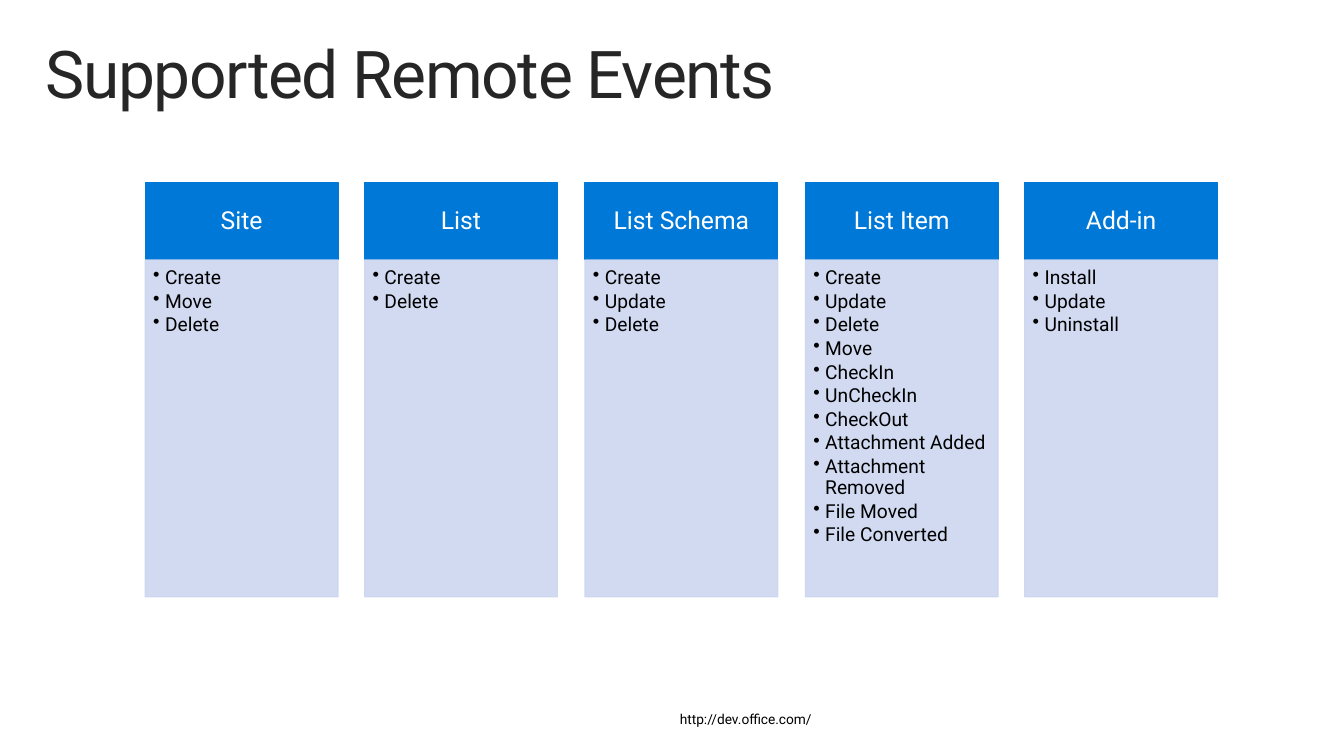
"""Build the slide "Supported Remote Events" with five columns of events."""
from lxml import etree
from pptx import Presentation
from pptx.dml.color import RGBColor
from pptx.enum.shapes import MSO_SHAPE
from pptx.enum.text import MSO_ANCHOR, MSO_AUTO_SIZE, PP_ALIGN
from pptx.oxml.ns import qn
from pptx.util import Pt

PX = 9144
RECTANGLE = MSO_SHAPE.RECTANGLE
TOP, MIDDLE = MSO_ANCHOR.TOP, MSO_ANCHOR.MIDDLE
LEFT, CENTER = PP_ALIGN.LEFT, PP_ALIGN.CENTER
BLUE = RGBColor(0x00, 0x78, 0xD7)
PALE_BLUE = RGBColor(0xCC, 0xD6, 0xF0)
WHITE = RGBColor(0xFF, 0xFF, 0xFF)
BLACK = RGBColor(0x00, 0x00, 0x00)
CHARCOAL = RGBColor(0x26, 0x26, 0x26)

EVENTS = {
    "Site": ["Create", "Move", "Delete"],
    "List": ["Create", "Delete"],
    "List Schema": ["Create", "Update", "Delete"],
    "List Item": [
        "Create", "Update", "Delete", "Move", "CheckIn", "UnCheckIn", "CheckOut",
        "Attachment Added", "Attachment Removed", "File Moved", "File Converted",
    ],
    "Add-in": ["Install", "Update", "Uninstall"],
}
FIRST_LEFT, LAST_LEFT, COLUMN_WIDTH = 147, 1037, 195
HEADER_TOP, HEADER_HEIGHT, BODY_HEIGHT = 185, 78, 341
BULLET_INDENT = 12


def write(box, lines, size, color, insets=(16, 10, 16, 10), align=LEFT,
          anchor=TOP, wrap=True, bullet=False, space_after=0, tracking=0):
    """Fill a shape with one formatted paragraph per line."""
    frame = box.text_frame
    frame.word_wrap = wrap
    frame.auto_size = MSO_AUTO_SIZE.NONE
    frame.vertical_anchor = anchor
    frame.margin_left, frame.margin_top, frame.margin_right, frame.margin_bottom = (
        inset * PX for inset in insets)
    frame.text = "\n".join(lines)
    for para in frame.paragraphs:
        if bullet:
            properties = para._p.get_or_add_pPr()
            properties.set("marL", str(BULLET_INDENT * PX))
            properties.set("indent", str(-BULLET_INDENT * PX))
            etree.SubElement(properties, qn("a:buChar"), char="•")
        para.alignment = align
        para.line_spacing = 0.9
        para.space_after = Pt(space_after)
        for span in para.runs:
            span.font.name = "Roboto"
            span.font.size = Pt(size)
            span.font.color.rgb = color
            if tracking:
                span.font._element.set("spc", str(tracking * 100))


def add_panel(left, top, height, color, opacity=100):
    """Add a column rectangle whose fill and line share a colour."""
    panel = page.shapes.add_shape(
        RECTANGLE, left * PX, top * PX, COLUMN_WIDTH * PX, height * PX)
    panel.shadow.inherit = False
    panel.fill.solid()
    panel.fill.fore_color.rgb = color
    panel.line.color.rgb = color
    panel.line.width = Pt(0.85)
    if opacity < 100:
        for tint in panel._element.spPr.iter(qn("a:srgbClr")):
            etree.SubElement(tint, qn("a:alpha"), val=str(opacity * 1000))
    return panel


deck = Presentation()
deck.slide_width, deck.slide_height = 1360 * PX, 765 * PX
page = deck.slides.add_slide(deck.slide_layouts[5])

address = page.shapes.add_textbox(672 * PX, 711 * PX, 166 * PX, 35 * PX)
write(address, ["http://dev.office.com/"], 10, BLACK, wrap=False)

title = page.shapes.title
title.left, title.top, title.width, title.height = 30 * PX, 32 * PX, 1300 * PX, 100 * PX
write(title, ["Supported Remote Events"], 48, CHARCOAL, tracking=-1)

pitch = (LAST_LEFT - FIRST_LEFT) / (len(EVENTS) - 1)
for column, (heading, events) in enumerate(EVENTS.items()):
    left = FIRST_LEFT + round(column * pitch)
    header = add_panel(left, HEADER_TOP, HEADER_HEIGHT, BLUE)
    write(header, [heading], 18, WHITE, insets=(14, 8, 14, 8), align=CENTER, anchor=MIDDLE)
    body = add_panel(left, HEADER_TOP + HEADER_HEIGHT, BODY_HEIGHT, PALE_BLUE, opacity=90)
    write(body, events, 14, BLACK, insets=(8, 8, 11, 12), bullet=True, space_after=2.1)

deck.save("out.pptx")
